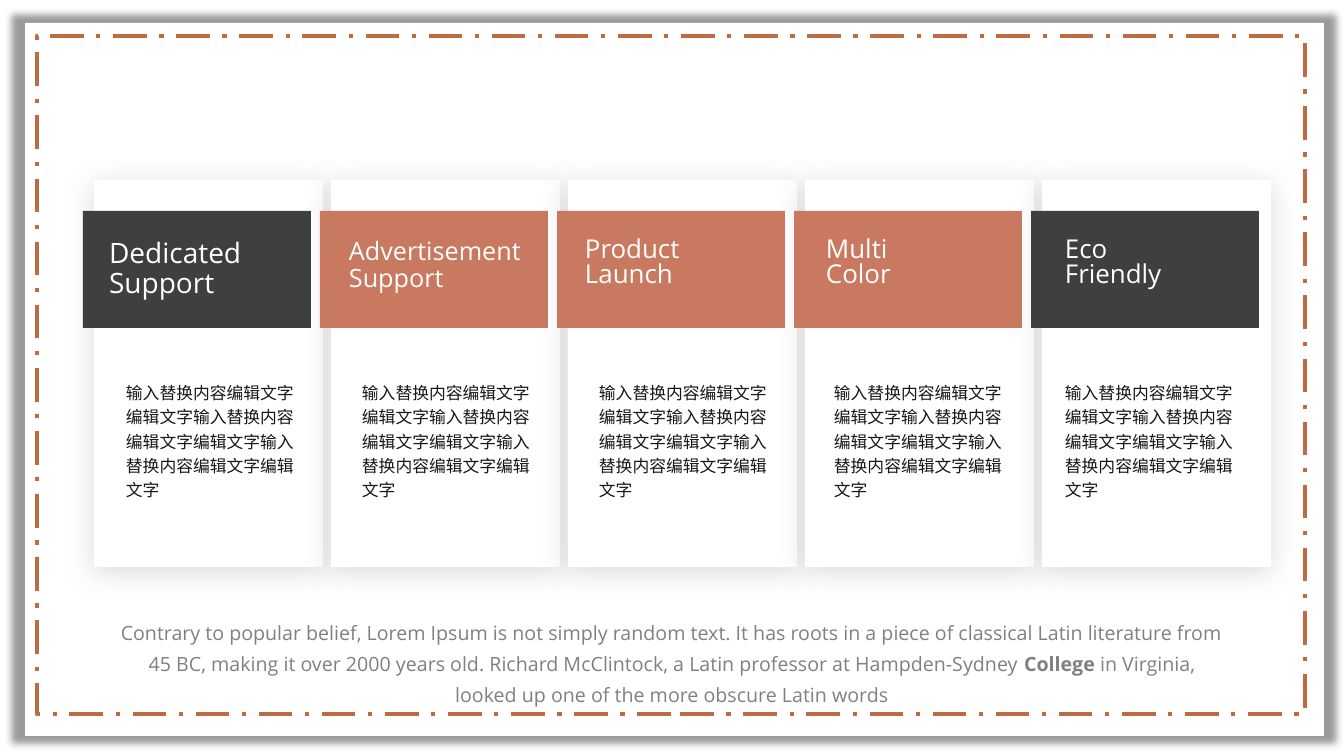
from lxml import etree
from pptx import Presentation
from pptx.dml.color import RGBColor
from pptx.enum.dml import MSO_LINE
from pptx.enum.shapes import MSO_SHAPE
from pptx.enum.text import PP_ALIGN
from pptx.oxml.ns import qn
from pptx.util import Pt

RECT = MSO_SHAPE.RECTANGLE
DASH = MSO_LINE.LONG_DASH_DOT
CENTER = PP_ALIGN.CENTER
PX = 12192000 / 1344
FONT = "Open Sans"
COLORS = {
    "white": "FFFFFF", "dark": "3F3F3F", "clay": "C87960", "border": "BE6B41",
    "black": "000000", "shade": "A6A6A6", "gray": "808080", "ink": "181717",
}
BODY = "输入替换内容编辑文字编辑文字输入替换内容编辑文字编辑文字输入替换内容编辑文字编辑文字"
CARDS = [
    (["Dedicated", "Support"], "dark", 20, 0.9, 15, 22),
    (["Advertisement", "Support"], "clay", 18, 0.9, 18, 21),
    (["Product", "Launch"], "clay", 18.5, 0.8, 17, 21),
    (["Multi", "Color"], "clay", 18.5, 0.8, 21, 19),
    (["Eco", "Friendly"], "dark", 18.5, 0.8, 23, 13),
]
CARD_PITCH = 237
CLOSING = [
    ("Contrary to popular belief, Lorem Ipsum is not simply random text. "
     "It has roots in a piece of classical Latin literature from 45 BC, "
     "making it over 2000 years old. Richard McClintock, a Latin professor "
     "at Hampden-Sydney ", False),
    ("College", True),
    (" in Virginia, looked up one of the more obscure Latin words", False),
]


def emu(*lengths):
    return [round(length * PX) for length in lengths]


def rgb(name):
    return RGBColor.from_string(COLORS[name])


def add_rect(s, box, fill=None):
    sp = s.shapes.add_shape(RECT, *emu(*box))
    sp.shadow.inherit = False
    sp.line.fill.background()
    if fill:
        sp.fill.solid()
        sp.fill.fore_color.rgb = rgb(fill)
    else:
        sp.fill.background()
    return sp


def add_shadow(sp, color, blur, dist=0, scale=100):
    effects = sp.element.spPr.find(qn("a:effectLst"))
    shadow = etree.SubElement(
        effects, qn("a:outerShdw"), blurRad=str(Pt(blur)), dist=str(Pt(dist)),
        dir="5400000", sx=str(scale * 1000), sy=str(scale * 1000),
        algn="ctr", rotWithShape="0")
    clr = etree.SubElement(shadow, qn("a:srgbClr"), val=COLORS[color])
    etree.SubElement(clr, qn("a:alpha"), val="40000")


def add_text(s, box, paragraphs, size, color, spacing, align=None, insets=(0, 0)):
    tf = s.shapes.add_textbox(*emu(*box)).text_frame
    tf.word_wrap = True
    tf.margin_left = tf.margin_right = emu(insets[0])[0]
    tf.margin_top = tf.margin_bottom = emu(insets[1])[0]
    for i, runs in enumerate(paragraphs):
        p = tf.add_paragraph() if i else tf.paragraphs[0]
        p.line_spacing = spacing
        p.alignment = align
        for text, bold in runs:
            r = p.add_run()
            r.text = text
            r.font.name = FONT
            r.font.size = Pt(size)
            r.font.bold = bold
            r.font.color.rgb = rgb(color)


def add_frame(s, x, y, w, h):
    add_shadow(add_rect(s, (x, y, w, h), "white"), "black", 5, scale=102)
    border = add_rect(s, (x + 12, y + 13, w - 31, h - 35))
    border.line.color.rgb = rgb("border")
    border.line.width = Pt(3)
    border.line.dash_style = DASH


def add_card(s, x, y, w, h, card):
    heading, color, size, spacing, heading_dx, body_dx = card
    add_shadow(add_rect(s, (x, y, w, h), "white"), "shade", 20, 3)
    add_rect(s, (x - 11, y + 31, w - 1, 117), color)
    add_text(s, (x + heading_dx, y + 59, 198, 61),
             [[(line, False)] for line in heading], size, "white", spacing)
    add_text(s, (x + body_dx, y + 194, 204, 132), [[(BODY, False)]],
             12, "ink", 1.2, insets=(10, 5))


def add_closing(s, x, y, w, h):
    add_text(s, (x, y, w, h), [CLOSING], 14, "gray", Pt(22), CENTER, (10, 5))


def main():
    prs = Presentation()
    prs.slide_width, prs.slide_height = emu(1344, 756)
    s = prs.slides.add_slide(prs.slide_layouts[6])
    add_frame(s, 25, 23, 1299, 713)
    for i, card in enumerate(CARDS):
        add_card(s, 94 + i * CARD_PITCH, 180, 229, 387, card)
    add_closing(s, 106, 609, 1132, 104)
    prs.save("out.pptx")


if __name__ == "__main__":
    main()
